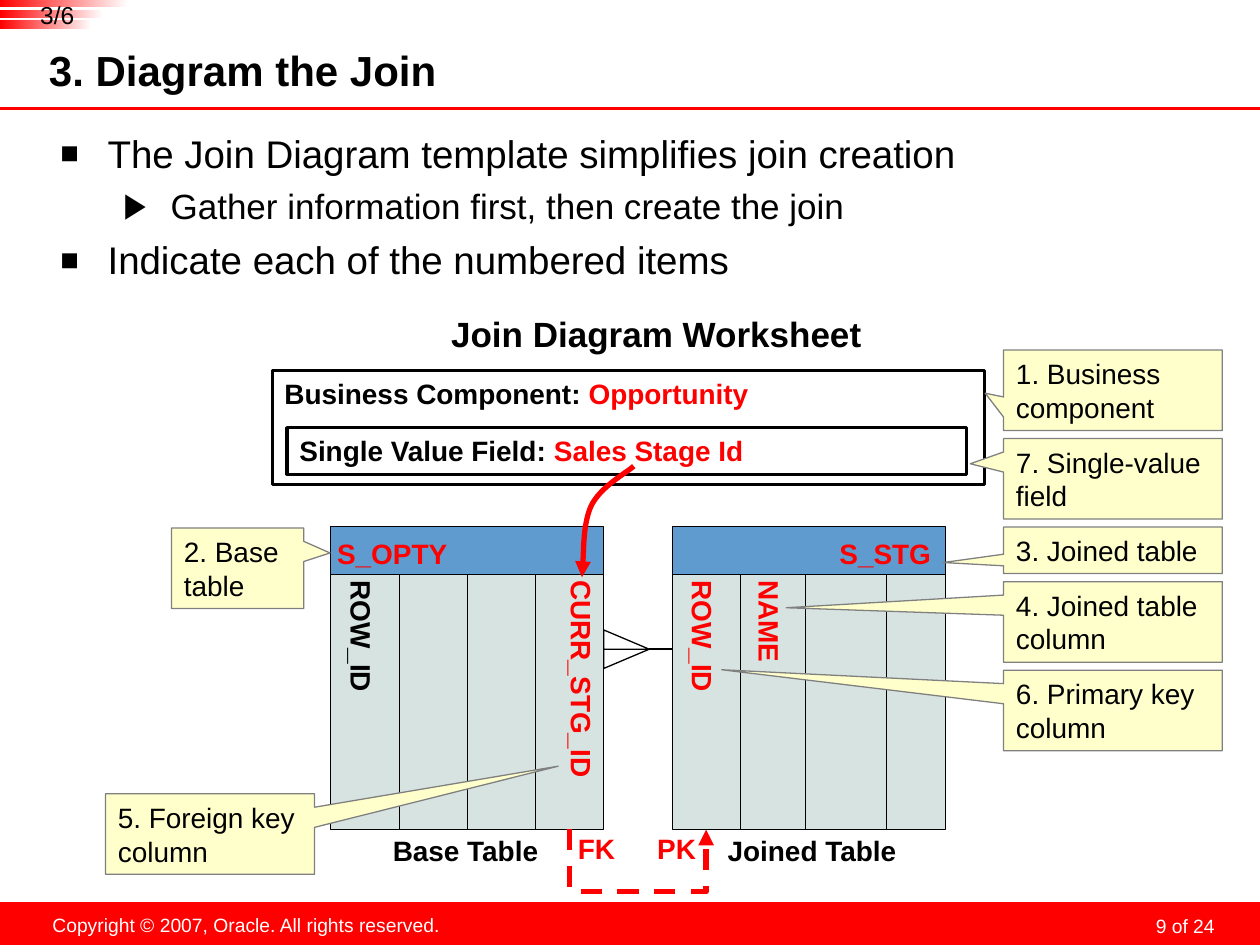
from lxml.etree import SubElement
from pptx import Presentation
from pptx.dml.color import RGBColor
from pptx.enum.dml import MSO_LINE as Dash
from pptx.enum.shapes import MSO_CONNECTOR as Conn, MSO_SHAPE as Kind
from pptx.enum.text import MSO_ANCHOR as Anchor, PP_ALIGN as Align
from pptx.oxml.ns import qn
from pptx.util import Pt

HUES = {"red": "FF0000", "black": "000000", "white": "FFFFFF", "blue": "5F9BCF",
        "cell": "D7E3E0", "note": "FFFFCC", "gray": "808080"}
PAD = (7.2, 3.6, 7.2, 3.6)
CELL = (3.6, 7.2, 3.6, 3.6)

BARS = [(0, 73, 4.3), (5.8, 59, 4.3), (11.6, 52.5, 5)]  # top, width, height
BODY = [(0, "The Join Diagram template simplifies join creation"),
        (1, "Gather information first, then create the join"),
        (0, "Indicate each of the numbered items")]
LEVELS = [{"left": 27, "size": 22, "gap": 5.5, "mark": "■", "pct": 80},
          {"left": 63, "size": 20, "gap": 5, "mark": "▶", "pct": 100}]
BOXES = [((155.5, 211.7, 407, 65), "Business Component: ", "Opportunity"),
         ((164, 244.4, 388.5, 26.6), "Single Value Field: ", "Sales Stage Id")]
# header, its alignment, column edges, column names with hue
TABLES = [
    ("S_OPTY", Align.LEFT, [189, 228, 267, 306, 345],
     [("ROW_ID", "black"), None, None, ("CURR_STG_ID", "red")]),
    ("S_STG", Align.RIGHT, [384, 423, 460.5, 506.5, 540],
     [("ROW_ID", "red"), ("NAME", "red"), None, None]),
]
HEAD, TOP, END = 301, 328, 474  # header top, column top, column bottom
LABELS = [("Base Table", (216.7, 473, 98.6, 26.6), 16, "black"),
          ("Joined Table", (408.2, 473, 111.6, 26.6), 16, "black"),
          ("FK", (320.9, 471.6, 40, 26.6), 16, "red"),
          ("PK", (366.6, 471.6, 40, 26.6), 16, "red"),
          ("Join Diagram Worksheet", (250.6, 175, 249, 31.7), 20, "black")]
# text, height, tip of the pointer
STACK = [("1. Business component", 46, (563, 224.7)),
         ("7. Single-value field", 46, (554.5, 265)),
         ("3. Joined table", 26.6, (539, 321.5)),
         ("4. Joined table column", 46, (449.3, 347.3)),
         ("6. Primary key column", 46, (412.4, 382.7))]
NOTES = [("2. Base table", (98, 301.7, 75.6, 46), (188.6, 316)),
         ("5. Foreign key column", (60.3, 453.6, 119.5, 46), (319, 437.8))]
FOOT = [(345, 371), (371, 371), (345, 382), (345, 360), (371, 371)]
CURVE = [(332.6, 329.8), (333.4, 322.6), (333.4, 299.5), (337.7, 289.4),
         (342.7, 278.6), (357.1, 270.7), (362.2, 266.4)]

deck = Presentation()
deck.slide_width, deck.slide_height = Pt(720), Pt(540)
slide = deck.slides.add_slide(deck.slide_layouts[6])
shapes = slide.shapes


def rgb(hue):
    return RGBColor.from_string(HUES[hue])


def pts(nums):
    return [Pt(n) for n in nums]


def stroke(line, hue, width):
    line.color.rgb = rgb(hue)
    line.width = Pt(width)


def arrow(line, end):
    SubElement(line._get_or_add_ln(), qn("a:" + end), type="triangle")


def paint(shape, fill=None, hue=None, width=1):
    shape.shadow.inherit = False
    if fill:
        shape.fill.solid()
        shape.fill.fore_color.rgb = rgb(fill)
    else:
        shape.fill.background()
    if hue:
        stroke(shape.line, hue, width)
    else:
        shape.line.fill.background()
    return shape


def box(at, *look, kind=Kind.RECTANGLE):
    return paint(shapes.add_shape(kind, *pts(at)), *look)


def add_runs(para, runs, size, bold=False):
    for words, hue in runs:
        run = para.add_run()
        run.text = words
        for key, val in {"name": "Arial", "size": Pt(size), "bold": bold}.items():
            setattr(run.font, key, val)
        run.font.color.rgb = rgb(hue)


def write(shape, runs, size, bold=False, align=Align.LEFT, pad=PAD,
          anchor=Anchor.TOP, wrap=True):
    frame = shape.text_frame
    look = {"word_wrap": wrap, "vertical_anchor": anchor}
    look.update(zip(("margin_left", "margin_top", "margin_right", "margin_bottom"), pts(pad)))
    for key, val in look.items():
        setattr(frame, key, val)
    para = frame.paragraphs[0]
    para.alignment = align
    add_runs(para, runs, size, bold)
    return para


def label(words, at, size, hue, **look):
    return write(shapes.add_textbox(*pts(at)), [(words, hue)], size, **look)


def join(kind, ends, hue, width):
    line = shapes.add_connector(kind, *pts(ends))
    stroke(line.line, hue, width)
    SubElement(line._element.spPr, qn("a:effectLst"))
    return line


def outline(dots, hue, width):
    form = shapes.build_freeform(*pts(dots[0]), scale=1.0)
    form.add_line_segments([pts(dot) for dot in dots[1:]], close=False)
    return paint(form.convert_to_shape(), None, hue, width)


def bullet(para, level):
    look = LEVELS[level]
    props = para._p.get_or_add_pPr()
    props.set("marL", str(Pt(look["left"])))
    props.set("indent", str(-Pt(27)))
    SubElement(SubElement(props, qn("a:buClr")), qn("a:srgbClr"), val=HUES["black"])
    SubElement(props, qn("a:buSzPct"), val=str(look["pct"] * 1000))
    SubElement(props, qn("a:buFont"), typeface="Arial")
    SubElement(props, qn("a:buChar"), char=look["mark"])
    para.level = level


def column(left, width, name):
    """Add a table column as a box turned a quarter, so its text runs down."""
    tall, mid = END - TOP, left + width / 2
    cell = box((mid - tall / 2, (TOP + END - width) / 2, tall, width), "cell", "black", 0.5)
    cell.rotation = 90
    if name:
        long = name[0] == "CURR_STG_ID"
        write(cell, [name], 16, True, wrap=False,
              pad=(3.6, 2.8, 3.6, 3.6) if long else CELL,
              anchor=Anchor.TOP if long else Anchor.MIDDLE)


def callout(words, at, tip):
    note = box(at, "note", "gray", 0.75, kind=Kind.RECTANGULAR_CALLOUT)
    for i in (0, 1):
        note.adjustments[i] = (tip[i] - at[i]) / at[i + 2] - 0.5
    write(note, [(words, "black")], 16, anchor=Anchor.MIDDLE)


# Frame of the slide
box((0, 515.5, 720, 24.5), "red")
page = label("9 of 24", (530, 517.7, 167.8, 18), 11, "white",
             align=Align.RIGHT, pad=(3.6, 0, 3.6, 0))
page.line_spacing = Pt(18)
label("Copyright © 2007, Oracle. All rights reserved.", (22.3, 518.4, 236.9, 20.9), 11,
      "white", align=Align.CENTER, wrap=False)
join(Conn.STRAIGHT, (0, 62, 720, 62), "red", 1.75)
for top, width, high in BARS:
    bar = box((0, top, width, high))
    bar.fill.gradient()
    bar.fill.gradient_angle = 0
    for stop, hue in zip(bar.fill.gradient_stops, ("red", "white")):
        stop.color.rgb = rgb(hue)
label("3/6", (14.4, 0, 36.7, 16.6), 14, "black", align=Align.CENTER, pad=(0, 0, 0, 0))
label("3. Diagram the Join", (28, 27.4, 566.6, 28.8), 24, "black", bold=True,
      pad=(0, 0, 3.6, 3.6), anchor=Anchor.MIDDLE)

# Bullets
body = shapes.add_textbox(*pts((27.4, 67, 669.6, 443.5)))
for i, (level, words) in enumerate(BODY):
    look = LEVELS[level]
    if i:
        para = body.text_frame.add_paragraph()
        add_runs(para, [(words, "black")], look["size"])
        para.space_before = Pt(look["gap"])
    else:
        para = write(body, [(words, "black")], look["size"], pad=(7.2, 7.2, 7.2, 3.6))
    bullet(para, level)

# Worksheet
for at, name, value in BOXES:
    write(box(at, None, "black", 1.75), [(name, "black"), (value, "red")], 16, True)
for title, align, edges, names in TABLES:
    for left, right, name in zip(edges, edges[1:], names):
        column(left, right - left, name)
    head = box((edges[0], HEAD, edges[-1] - edges[0], TOP - HEAD), "blue", "black", 0.5)
    write(head, [(title, "red")], 16, True, align, (3.6, 7.2, 8, 3.6), Anchor.MIDDLE, False)
outline(FOOT, "black", 0.75)
join(Conn.STRAIGHT, (371, 371, 384, 371), "black", 1)

# Key link: a quarter-turned elbow, from the foreign key down and up to the primary key
mid, half, drop, thin = 364.5, 39, 36, 0.2
link = join(Conn.ELBOW, (mid + thin / 2, END - half, mid - thin / 2, END + half), "red", 3)
link.line.dash_style = Dash.DASH
arrow(link.line, "tailEnd")
props = link._element.spPr
props.find(qn("a:xfrm")).set("rot", "16200000")
SubElement(props.find(qn("a:prstGeom")).find(qn("a:avLst")), qn("a:gd"),
           name="adj1", fmla=f"val {round(drop / thin * 100000)}")
for words, at, size, hue in LABELS:
    label(words, at, size, hue, bold=True, align=Align.CENTER, wrap=False)

# Callouts
top = 200
for words, high, tip in STACK:
    callout(words, (573.5, top, 125, high), tip)
    top += high + 4.6
for note in NOTES:
    callout(*note)

# Curved arrow from the field to its column
curve = outline(CURVE, "red", 3)
arrow(curve.line, "headEnd")
track = next(curve._element.iter(qn("a:path")))
lines = track.findall(qn("a:lnTo"))
for k in (0, 3):
    cubic = SubElement(track, qn("a:cubicBezTo"))
    for line in lines[k:k + 3]:
        cubic.append(line[0])
        track.remove(line)

deck.save("out.pptx")
